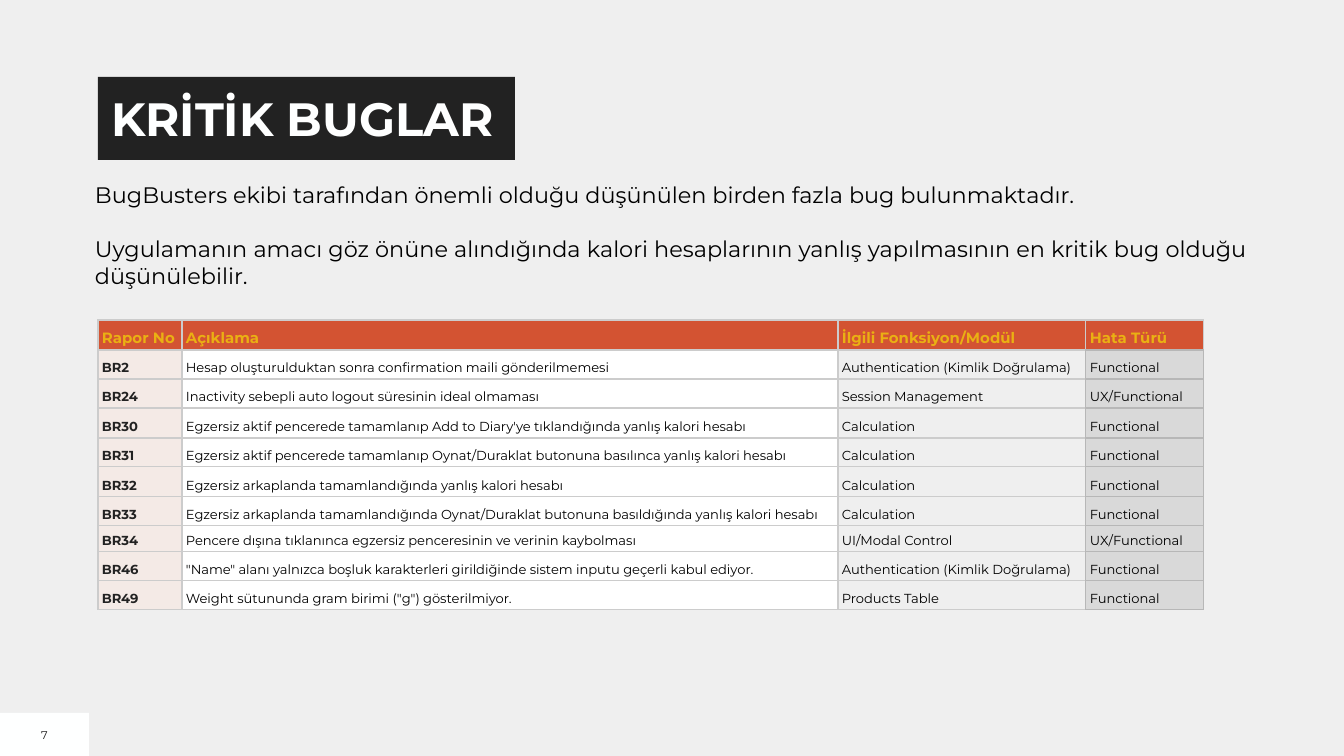
"""Build the critical bugs slide."""
from lxml import etree
from pptx import Presentation
from pptx import util as u
from pptx.dml.color import RGBColor
from pptx.enum import shapes, text
from pptx.oxml import ns

SCALE = 9144000 / 1344
FONT = "Montserrat"
PAPER = RGBColor(0xEF, 0xEF, 0xEF)
WHITE = RGBColor(0xFE, 0xFF, 0xFF)
PLAIN = RGBColor(0xFF, 0xFF, 0xFF)
INK = RGBColor(0x22, 0x22, 0x22)
BLACK = RGBColor(0, 0, 0)
RUST = RGBColor(0xD3, 0x53, 0x32)
GOLD = RGBColor(0xEA, 0xB0, 0x13)
BLUSH = RGBColor(0xF4, 0xEA, 0xE6)
SILVER = RGBColor(0xD9, 0xD9, 0xD9)
LIGHT = RGBColor(0xCC, 0xCC, 0xCC)
DARK = RGBColor(0xB7, 0xB7, 0xB7)

INTRO = [
    "BugBusters ekibi tarafından önemli olduğu düşünülen birden fazla bug bulunmaktadır.",
    "Uygulamanın amacı göz önüne alındığında kalori hesaplarının yanlış yapılmasının en kritik bug olduğu düşünülebilir.",
]
AUTH = "Authentication (Kimlik Doğrulama)"
BUGS = [
    ("Rapor No", "Açıklama", "İlgili Fonksiyon/Modül", "Hata Türü"),
    ("BR2", "Hesap oluşturulduktan sonra confirmation maili gönderilmemesi", AUTH, "Functional"),
    ("BR24", "Inactivity sebepli auto logout süresinin ideal olmaması", "Session Management", "UX/Functional"),
    ("BR30", "Egzersiz aktif pencerede tamamlanıp Add to Diary'ye tıklandığında yanlış kalori hesabı", "Calculation", "Functional"),
    ("BR31", "Egzersiz aktif pencerede tamamlanıp Oynat/Duraklat butonuna basılınca yanlış kalori hesabı", "Calculation", "Functional"),
    ("BR32", "Egzersiz arkaplanda tamamlandığında yanlış kalori hesabı", "Calculation", "Functional"),
    ("BR33", "Egzersiz arkaplanda tamamlandığında Oynat/Duraklat butonuna basıldığında yanlış kalori hesabı", "Calculation", "Functional"),
    ("BR34", "Pencere dışına tıklanınca egzersiz penceresinin ve verinin kaybolması", "UI/Modal Control", "UX/Functional"),
    ("BR46", "\"Name\" alanı yalnızca boşluk karakterleri girildiğinde sistem inputu geçerli kabul ediyor.", AUTH, "Functional"),
    ("BR49", "Weight sütununda gram birimi (\"g\") gösterilmiyor.", "Products Table", "Functional"),
]
WIDTHS = [84, 656, 248, 118]
HEIGHTS = [30, 29, 29, 30, 29, 30, 29, 26, 29, 29]
FILLS = [BLUSH, PLAIN, PAPER, SILVER]


def px(n):
    """Turn px into EMU."""
    return u.Emu(round(n * SCALE))


def style(para, size, color, bold=False):
    """Format every run of a paragraph."""
    for run in para.runs:
        font = run.font
        font.name, font.size, font.bold = FONT, u.Pt(size), bold
        font.color.rgb = color


def inset(frame, side, top):
    """Set the inner margins of a text frame or cell."""
    frame.margin_left = frame.margin_right = px(side)
    frame.margin_top = frame.margin_bottom = px(top)


def panel(slide, box, fill):
    """Add a plain filled rectangle and return it."""
    rect = slide.shapes.add_shape(shapes.MSO_SHAPE.RECTANGLE, *map(px, box))
    rect.shadow.inherit = False
    rect.fill.solid()
    rect.fill.fore_color.rgb = fill
    rect.line.fill.background()
    return rect


def title(slide, box):
    """Add the dark heading bar."""
    frame = panel(slide, box, INK).text_frame
    inset(frame, 13, 13)
    frame.word_wrap = True
    frame.vertical_anchor = text.MSO_ANCHOR.TOP
    frame.text = "KRİTİK BUGLAR"
    frame.paragraphs[0].alignment = text.PP_ALIGN.LEFT
    style(frame.paragraphs[0], 25, WHITE, True)


def intro(slide, box):
    """Add the two opening paragraphs."""
    frame = slide.shapes.add_textbox(*map(px, box)).text_frame
    inset(frame, 13, 13)
    frame.word_wrap = True
    frame.text = "\n".join(INTRO)
    for para in frame.paragraphs:
        style(para, 12, BLACK)
    last = frame.paragraphs[1]
    last.space_before = u.Pt(14.6)
    last.alignment = text.PP_ALIGN.JUSTIFY


def border(cell, colors):
    """Draw the left, right, top and bottom cell edges."""
    props = cell._tc.get_or_add_tcPr()
    for spot, (side, color) in enumerate(zip("LRTB", colors)):
        line = etree.Element(ns.qn(f"a:ln{side}"), w=str(u.Pt(0.75)))
        fill = etree.SubElement(line, ns.qn("a:solidFill"))
        etree.SubElement(fill, ns.qn("a:srgbClr"), val=str(color))
        props.insert(spot, line)


def edges(row, col):
    """Pick the four edge colours of a cell."""
    if row and col == 3:
        return [DARK] * 4
    right = DARK if row and col == 2 else LIGHT
    base = DARK if not row and col == 3 else LIGHT
    return [LIGHT, right, LIGHT, base]


def table(slide, left, top):
    """Add the bug report table."""
    size = map(px, (left, top, sum(WIDTHS), sum(HEIGHTS)))
    grid = slide.shapes.add_table(len(BUGS), len(WIDTHS), *size).table
    for col, wide in zip(grid.columns, WIDTHS):
        col.width = px(wide)
    for row, (line, high) in enumerate(zip(BUGS, HEIGHTS)):
        grid.rows[row].height = px(high)
        for col, words in enumerate(line):
            cell = grid.cell(row, col)
            inset(cell, 4, 3)
            cell.vertical_anchor = text.MSO_ANCHOR.BOTTOM
            cell.fill.solid()
            cell.fill.fore_color.rgb = FILLS[col] if row else RUST
            border(cell, edges(row, col))
            cell.text_frame.text = words
            para = cell.text_frame.paragraphs[0]
            para.line_spacing = 1.15
            if row:
                style(para, 7, BLACK if col else INK, col == 0)
            else:
                style(para, 8, GOLD, True)


def number(slide, box):
    """Add the page number in its corner."""
    frame = panel(slide, box, WHITE).text_frame
    inset(frame, 9, 5)
    frame.vertical_anchor = text.MSO_ANCHOR.MIDDLE
    frame.text = "7"
    frame.paragraphs[0].alignment = text.PP_ALIGN.CENTER
    style(frame.paragraphs[0], 6, INK)


def main():
    """Build and save the deck."""
    deck = Presentation()
    deck.slide_width, deck.slide_height = px(1344), px(756)
    slide = deck.slides.add_slide(deck.slide_layouts[6])
    slide.background.fill.solid()
    slide.background.fill.fore_color.rgb = PAPER
    number(slide, (0, 713, 89, 43))
    intro(slide, (82, 168, 1179, 136))
    title(slide, (98, 77, 417, 83))
    table(slide, 98, 320)
    deck.save("out.pptx")


if __name__ == "__main__":
    main()
